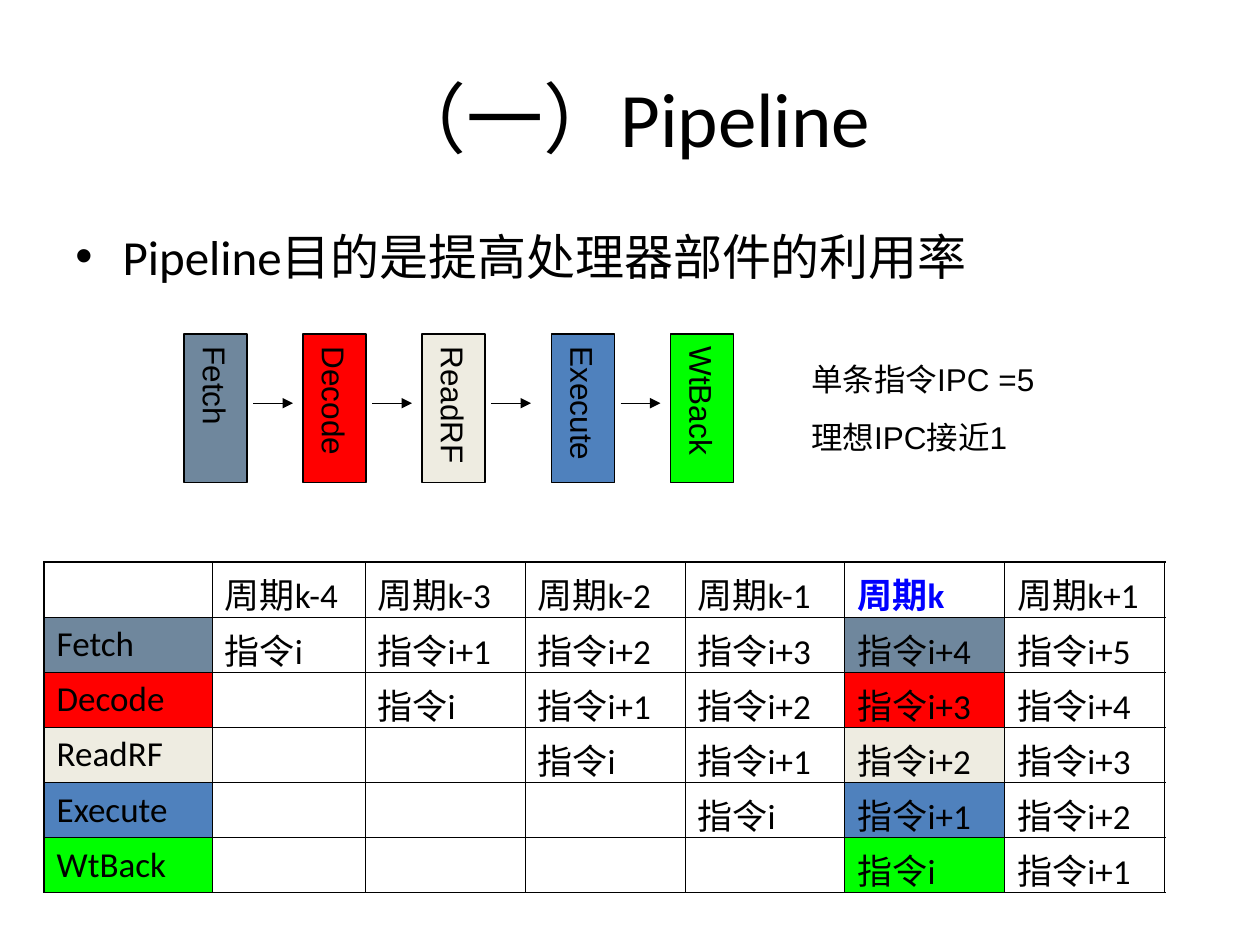
from lxml.etree import SubElement
from pptx import Presentation
from pptx.dml.color import RGBColor
from pptx.enum.shapes import MSO_CONNECTOR, MSO_SHAPE
from pptx.enum.text import MSO_ANCHOR, PP_ALIGN
from pptx.oxml.ns import qn
from pptx.util import Pt

STEPS = [("Fetch", "6F879D"), ("Decode", "FF0000"), ("ReadRF", "EEECE1"),
         ("Execute", "4F81BD"), ("WtBack", "00FF00")]
TIMES = ["k-4", "k-3", "k-2", "k-1", "k", "k+1"]
FOCUS = TIMES.index("k")


def color(target, code):
    """Give a fill or a colour format the hex colour."""
    if hasattr(target, "solid"):
        target.solid()
        target = target.fore_color
    target.rgb = RGBColor.from_string(code)


def apply(obj, form):
    """Set each attribute in the dict on the object."""
    for key, val in form.items():
        setattr(obj, key, val)


def write(frame, lines, form, hue="000000", east=False, **para):
    """Fill a text frame with one styled paragraph per line."""
    for num, line in enumerate(lines):
        par = frame.add_paragraph() if num else frame.paragraphs[0]
        apply(par, para if num else {**para, "space_before": Pt(0)})
        run = par.add_run()
        run.text = line
        apply(run.font, form)
        color(run.font.color, hue)
        if east:
            face = SubElement(run.font._element, qn("a:ea"))
            face.set("typeface", form["name"])


def label(slide, box, lines, form, anchor=MSO_ANCHOR.TOP, **rest):
    """Add a wrapped text box and return its frame."""
    frame = slide.shapes.add_textbox(*map(Pt, box)).text_frame
    apply(frame, {"word_wrap": True, "vertical_anchor": anchor})
    write(frame, lines, form, **rest)
    return frame


def title(slide, box):
    """Place the centred heading."""
    label(slide, box, ["（一）Pipeline"], {"name": "Calibri", "size": Pt(44)},
          MSO_ANCHOR.MIDDLE, alignment=PP_ALIGN.CENTER)


def point(slide, box):
    """Place the bulleted statement."""
    frame = label(slide, box, ["Pipeline目的是提高处理器部件的利用率"],
                  {"name": "Calibri", "size": Pt(28)})
    props = frame.paragraphs[0]._p.get_or_add_pPr()
    props.set("marL", str(Pt(27)))
    props.set("indent", str(Pt(-27)))
    SubElement(props, qn("a:buFont")).set("typeface", "Arial")
    SubElement(props, qn("a:buChar")).set("char", "•")


def stage(slide, box, name, hue):
    """Place one pipeline stage with its vertical name."""
    rect = slide.shapes.add_shape(MSO_SHAPE.RECTANGLE, *map(Pt, box))
    rect.shadow.inherit = False
    color(rect.fill, hue)
    color(rect.line.fill, "000000")
    rect.line.width = Pt(0.75)
    frame = rect.text_frame
    apply(frame, {"word_wrap": False, "vertical_anchor": MSO_ANCHOR.MIDDLE,
                  "margin_left": Pt(3.6), "margin_right": Pt(3.6),
                  "margin_top": Pt(7.2), "margin_bottom": Pt(7.2)})
    frame._txBody.bodyPr.set("vert", "eaVert")
    write(frame, [name], {"name": "Arial", "size": Pt(18)},
          alignment=PP_ALIGN.CENTER)


def arrow(slide, left, top, width):
    """Draw a thin arrow to the right."""
    line = slide.shapes.add_connector(
        MSO_CONNECTOR.STRAIGHT, Pt(left), Pt(top), Pt(left + width), Pt(top))
    color(line.line.fill, "000000")
    line.line.width = Pt(0.75)
    SubElement(line.line._get_or_add_ln(), qn("a:tailEnd")).set("type", "triangle")
    SubElement(line._element.spPr, qn("a:effectLst"))


def flow(slide, box):
    """Place the row of stages, with a wider gap after the third."""
    left, top, width, height = box
    wide, gap = 36, 6
    step = (width - wide - gap) / (len(STEPS) - 1)
    for num, (name, hue) in enumerate(STEPS):
        shift = left + num * step + (gap if num > 2 else 0)
        stage(slide, (shift, top, wide, height), name, hue)
        if num < len(STEPS) - 1:
            arrow(slide, shift + wide + 3.5, top + 39.6, 22.7)


def note(slide, box):
    """Place the two remarks beside the stages."""
    label(slide, box, ["单条指令IPC =5", "理想IPC接近1"],
          {"name": "Arial", "size": Pt(18)}, east=True, space_before=Pt(11.2))


def border(cell, sides):
    """Draw the cell's four borders, given their widths in points."""
    props = cell._tc.get_or_add_tcPr()
    for num, (side, width) in enumerate(sides.items()):
        line = props.makeelement(qn("a:" + side), {"w": str(Pt(width))})
        fill = SubElement(line, qn("a:solidFill"))
        SubElement(fill, qn("a:srgbClr")).set("val", "000000")
        props.insert(num, line)


def entry(row, col):
    """Return the text that belongs in a grid cell."""
    if not row:
        return "周期" + TIMES[col - 1] if col else ""
    if not col:
        return STEPS[row - 1][0]
    lag = col - row
    return "" if lag < 0 else f"指令i+{lag}" if lag else "指令i"


def grid(slide, box):
    """Place the table of instructions by stage and cycle."""
    rows, cols = len(STEPS) + 1, len(TIMES) + 1
    table = slide.shapes.add_table(rows, cols, *map(Pt, box)).table
    apply(table, {"first_row": False, "horz_banding": False})
    for part, width in zip(table.columns, [96, 87.4] + [91.4] * 5):
        part.width = Pt(width)
    for row in range(rows):
        table.rows[row].height = Pt(box[3] / rows)
        for col in range(cols):
            cell = table.cell(row, col)
            focus = col == FOCUS + 1
            if row and (focus or not col):
                color(cell.fill, STEPS[row - 1][1])
            else:
                cell.fill.background()
            edges = {"lnL": not col, "lnR": col == cols - 1,
                     "lnT": not row, "lnB": row == rows - 1}
            border(cell, {side: 1.08 if edge else 0.45
                          for side, edge in edges.items()})
            text, head = entry(row, col), focus and not row
            if text:
                write(cell.text_frame, [text],
                      {"name": "Calibri", "size": Pt(20), "bold": head},
                      "0000FF" if head else "000000")


def main():
    """Build the slide and save it."""
    deck = Presentation()
    apply(deck, {"slide_width": Pt(720), "slide_height": Pt(540)})
    slide = deck.slides.add_slide(deck.slide_layouts[6])
    title(slide, (36, 21.6, 648, 90))
    point(slide, (36, 126, 648, 47.5))
    flow(slide, (105.2, 190.8, 314, 85))
    grid(slide, (25.2, 321.1, 640.4, 189))
    note(slide, (456.5, 202.3, 158.4, 62))
    deck.save("out.pptx")


if __name__ == "__main__":
    main()
